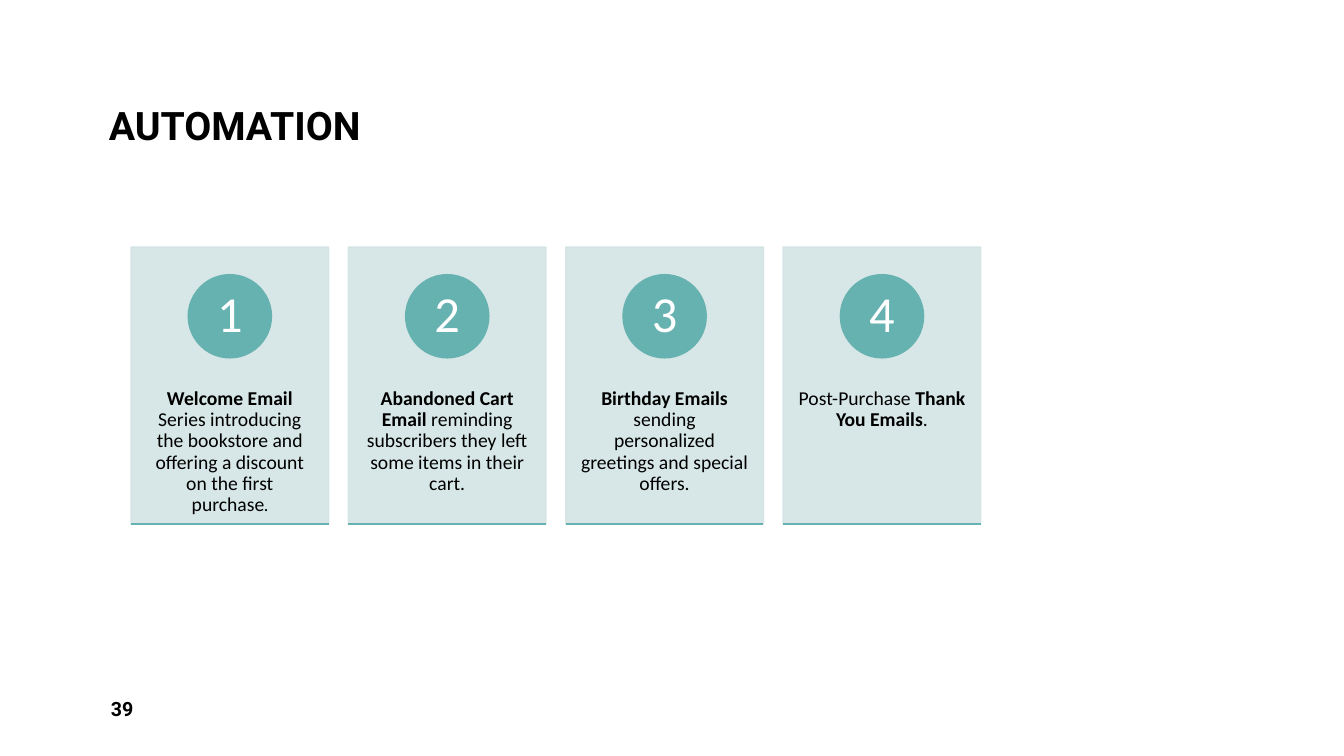
from math import sqrt

from lxml import etree
from pptx import Presentation
from pptx.dml.color import RGBColor
from pptx.enum.shapes import MSO_CONNECTOR, MSO_SHAPE
from pptx.enum.text import MSO_ANCHOR, MSO_AUTO_SIZE, PP_ALIGN
from pptx.oxml.ns import qn
from pptx.util import Inches, Pt

RECTANGLE, OVAL = MSO_SHAPE.RECTANGLE, MSO_SHAPE.OVAL
STRAIGHT = MSO_CONNECTOR.STRAIGHT
TOP, MIDDLE, BOTTOM = MSO_ANCHOR.TOP, MSO_ANCHOR.MIDDLE, MSO_ANCHOR.BOTTOM
LEFT, CENTER = PP_ALIGN.LEFT, PP_ALIGN.CENTER
NO_AUTOFIT = MSO_AUTO_SIZE.NONE

COLORS = {"ink": "000000", "card": "D3E4E4", "accent": "66B2B0", "digit": "FFFFFF"}
HEADING_FONT, BODY_FONT = "Roboto", "Calibri"

CARD_LEFT, CARD_TOP = 1.3, 2.45
CARD_WIDTH, CARD_HEIGHT = 1.96, 2.75
CARD_PITCH = 1.1 * CARD_WIDTH
CIRCLE_SIZE = 0.3 * CARD_HEIGHT
DIGIT_SIZE = CIRCLE_SIZE / sqrt(2)

EMAILS = [
    [("Welcome Email ", True),
     ("Series introducing the bookstore and offering a discount on the first purchase", False),
     (".", False, "Karla")],
    [("Abandoned Cart Email ", True),
     ("reminding subscribers they left some items in their cart.", False)],
    [("Birthday Emails ", True),
     ("sending personalized greetings and special offers.", False)],
    [("Post-Purchase ", False), ("Thank You Emails", True), (".", False)],
]


def color(key):
    return RGBColor.from_string(COLORS[key])


def box(left, top, width, height):
    return [Inches(value) for value in (left, top, width, height)]


def write(frame, runs, font, size, key="ink", align=CENTER, anchor=TOP,
          insets=(0.1, 0.05), spacing=0.9):
    frame.word_wrap = True
    frame.auto_size = NO_AUTOFIT
    frame.vertical_anchor = anchor
    frame.margin_left = frame.margin_right = Inches(insets[0])
    frame.margin_top = frame.margin_bottom = Inches(insets[1])
    paragraph = frame.paragraphs[0]
    paragraph.alignment = align
    paragraph.line_spacing = spacing
    for text, bold, *other_font in runs:
        run = paragraph.add_run()
        run.text = text
        run.font.name = other_font[0] if other_font else font
        run.font.size = Pt(size)
        run.font.bold = bold
        run.font.color.rgb = color(key)


def add_panel(group, kind, area, key, opacity=100):
    panel = group.shapes.add_shape(kind, *box(*area))
    panel.shadow.inherit = False
    panel.fill.solid()
    panel.fill.fore_color.rgb = color(key)
    panel.line.color.rgb = color(key)
    panel.line.width = Pt(1)
    if opacity < 100:
        for tint in panel._element.spPr.iter(qn("a:srgbClr")):
            etree.SubElement(tint, qn("a:alpha")).set("val", str(opacity * 1000))


def add_rule(group, left, top, width):
    ends = [Inches(value) for value in (left, top, left + width, top)]
    rule = group.shapes.add_connector(STRAIGHT, *ends)
    rule.line.color.rgb = color("accent")
    rule.line.width = Pt(1)
    etree.SubElement(rule._element.spPr, qn("a:effectLst"))


def add_card(group, column, description):
    left = CARD_LEFT + column * CARD_PITCH
    middle = left + CARD_WIDTH / 2
    circle_top = CARD_TOP + 0.1 * CARD_HEIGHT
    digit_top = circle_top + (CIRCLE_SIZE - DIGIT_SIZE) / 2
    add_panel(group, RECTANGLE, (left, CARD_TOP, CARD_WIDTH, CARD_HEIGHT), "card", 90)
    body = group.shapes.add_textbox(
        *box(left, CARD_TOP + 0.38 * CARD_HEIGHT, CARD_WIDTH, 0.6 * CARD_HEIGHT))
    write(body.text_frame, description, BODY_FONT, 14, insets=(0.15, 0.36))
    add_panel(group, OVAL,
              (middle - CIRCLE_SIZE / 2, circle_top, CIRCLE_SIZE, CIRCLE_SIZE), "accent")
    digit = group.shapes.add_textbox(
        *box(middle - DIGIT_SIZE / 2, digit_top, DIGIT_SIZE, DIGIT_SIZE))
    write(digit.text_frame, [(str(column + 1), False)], BODY_FONT, 36, "digit",
          anchor=MIDDLE, insets=(0.06, 0.01))
    add_rule(group, left, CARD_TOP + CARD_HEIGHT, CARD_WIDTH)


def add_title(slide, text):
    title = slide.shapes.title
    title.left, title.top, title.width, title.height = box(0.98, 0.08, 9.07, 1.45)
    write(title.text_frame, [(text, True)], HEADING_FONT, 28, align=LEFT, anchor=BOTTOM)


def add_page_number(slide, number):
    page = slide.shapes.add_textbox(*box(1, 6.83, 2.92, 0.4))
    write(page.text_frame, [(number, True)], HEADING_FONT, 14,
          align=LEFT, anchor=MIDDLE, spacing=1.0)
    page.text_frame.paragraphs[0].space_after = Pt(6)


def main():
    deck = Presentation()
    deck.slide_width, deck.slide_height = Inches(13.33), Inches(7.5)
    slide = deck.slides.add_slide(deck.slide_layouts[5])
    add_title(slide, "AUTOMATION")
    add_page_number(slide, "39")
    cards = slide.shapes.add_group_shape()
    for column, description in enumerate(EMAILS):
        add_card(cards, column, description)
    deck.save("out.pptx")


if __name__ == "__main__":
    main()
